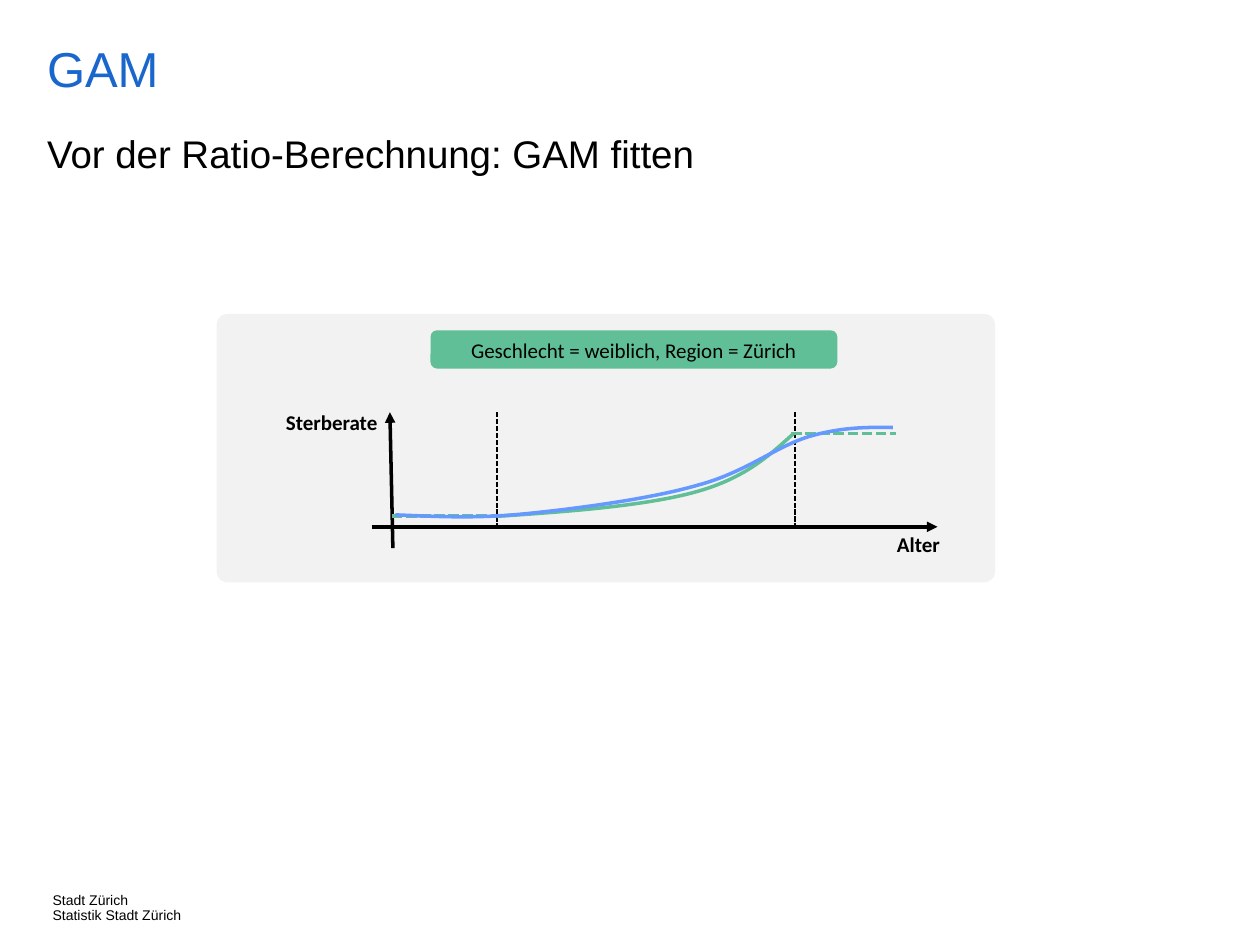
import pptx
import pptx.dml.color
import pptx.enum.dml
import pptx.enum.shapes
import pptx.enum.text
import pptx.oxml.ns
import pptx.util
from lxml import etree

Cm = pptx.util.Cm
Pt = pptx.util.Pt
qn = pptx.oxml.ns.qn
ALIGN = pptx.enum.text.PP_ALIGN
DASH = pptx.enum.dml.MSO_LINE.SQUARE_DOT

COLORS = {
    "title": "1966CC",
    "text": "000000",
    "panel": "F2F2F2",
    "green": "60BF97",
    "blue": "6699FF",
}


def rgb(name):
    return pptx.dml.color.RGBColor.from_string(COLORS[name])


def add_text(slide, box, lines, size, font="Arial", color="text", bold=False,
             align=ALIGN.LEFT, inset=True, wrap=True, space=None):
    frame = slide.shapes.add_textbox(*map(Cm, box)).text_frame
    frame.word_wrap = wrap
    if not inset:
        frame.margin_left = frame.margin_right = 0
        frame.margin_top = frame.margin_bottom = 0
    for i, line in enumerate(lines):
        para = frame.add_paragraph() if i else frame.paragraphs[0]
        para.alignment = align
        para.line_spacing = space
        run = para.add_run()
        run.text = line
        run.font.name = font
        run.font.size = Pt(size)
        run.font.bold = bold
        run.font.color.rgb = rgb(color)


def add_panel(slide, box, color, radius):
    kind = pptx.enum.shapes.MSO_SHAPE.ROUNDED_RECTANGLE
    panel = slide.shapes.add_shape(kind, *map(Cm, box))
    panel.adjustments[0] = radius
    panel.shadow.inherit = False
    panel.fill.solid()
    panel.fill.fore_color.rgb = rgb(color)
    panel.line.fill.background()


def add_line(slide, start, end, color="text", width=2, dash=None, arrow=False):
    kind = pptx.enum.shapes.MSO_CONNECTOR.STRAIGHT
    line = slide.shapes.add_connector(kind, *map(Cm, start + end))
    line.line.color.rgb = rgb(color)
    line.line.width = Pt(width)
    line.line.dash_style = dash
    if arrow:
        etree.SubElement(line.line._get_or_add_ln(), qn("a:tailEnd"), type="triangle")
    etree.SubElement(line._element.spPr, qn("a:effectLst"))


def add_curve(slide, points, color):
    """Chained cubic curves: a start, then two handles and an end for each."""
    form = slide.shapes.build_freeform(*map(Cm, points[0]))
    form.add_line_segments([tuple(map(Cm, p)) for p in points[1:]], close=False)
    curve = form.convert_to_shape()
    curve.shadow.inherit = False
    curve.fill.background()
    curve.line.color.rgb = rgb(color)
    curve.line.width = Pt(2)

    # Turn each three straight segments into one cubic curve
    parts = list(curve._element.iter(qn("a:lnTo")))
    for i in range(0, len(parts), 3):
        cubic = etree.Element(qn("a:cubicBezTo"))
        parts[i].addprevious(cubic)
        for part in parts[i:i + 3]:
            cubic.append(part[0])
            part.getparent().remove(part)


def add_graph(slide):
    # Panel and its label
    add_panel(slide, (4.37, 6.33, 15.69, 5.41), "panel", 0.04)
    add_panel(slide, (8.68, 6.66, 8.2, 0.77), "green", 0.17)
    add_text(slide, (8.68, 6.68, 8.2, 0.76),
             ["Geschlecht = weiblich, Region = Zürich"], 12, "Calibri",
             align=ALIGN.CENTER)

    # Axes
    add_line(slide, (7.49, 10.62), (18.9, 10.62), arrow=True)
    add_text(slide, (16.94, 10.6, 3.15, 0.76), ["Alter"], 12, "Calibri",
             bold=True, align=ALIGN.CENTER)
    add_line(slide, (7.92, 11.05), (7.86, 8.31), arrow=True)
    add_text(slide, (4.1, 8.13, 3.76, 0.76), ["Sterberate"], 12, "Calibri",
             bold=True, align=ALIGN.RIGHT)

    # Age limits
    for x in (10.02, 16.03):
        add_line(slide, (x, 8.31), (x, 10.67), width=1, dash=DASH)

    # Observed rate, held constant outside the limits
    add_curve(slide, [(16, 8.74), (15.52, 9.17), (15.04, 9.63), (14.05, 9.91),
                      (13.06, 10.19), (11.53, 10.31), (10.01, 10.41)], "green")
    for left, right, y in ((7.9, 9.98, 10.4), (15.95, 18.06, 8.74)):
        add_line(slide, (left, y), (right, y), "green", dash=DASH)

    # Fitted rate
    add_curve(slide, [(7.97, 10.38), (8.76, 10.41), (9.55, 10.46), (10.57, 10.36),
                      (11.58, 10.26), (13.11, 10.06), (14.07, 9.78),
                      (15.01, 9.53), (15.62, 9.02), (16.28, 8.81),
                      (16.94, 8.61), (17.48, 8.61), (18, 8.62)], "blue")


def main():
    deck = pptx.Presentation()
    deck.slide_width, deck.slide_height = Cm(25.4), Cm(19.05)
    slide = deck.slides.add_slide(deck.slide_layouts[6])

    # Footer, title and subtitle
    add_text(slide, (1.06, 18.01, 3.33, 0.51),
             ["Stadt Zürich", "Statistik Stadt Zürich"], 8,
             inset=False, wrap=False, space=0.9)
    add_text(slide, (0.95, 0.91, 24.43, 1.63), ["GAM"], 28, color="title",
             inset=False, space=0.9)
    add_text(slide, (0.7, 2.5, 21, 1.19),
             ["Vor der Ratio-Berechnung: GAM fitten"], 22)

    add_graph(slide)
    deck.save("out.pptx")


if __name__ == "__main__":
    main()
